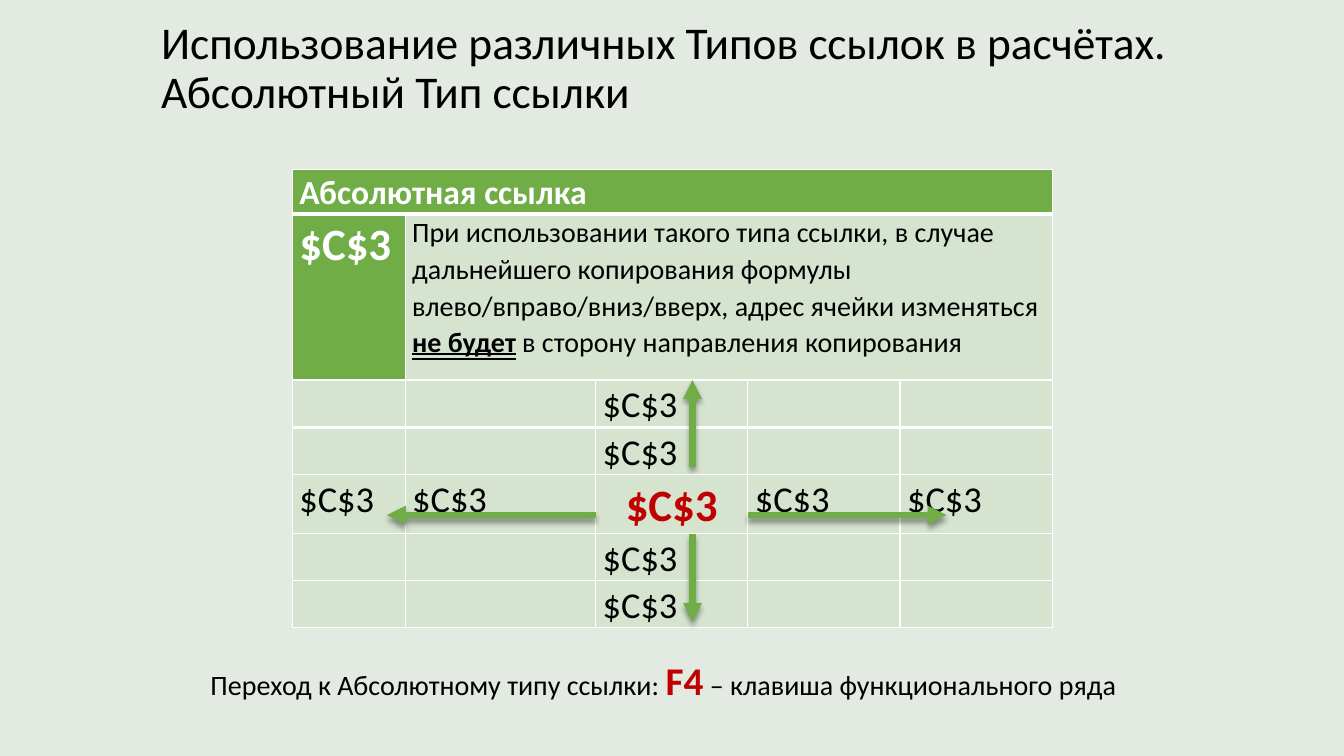
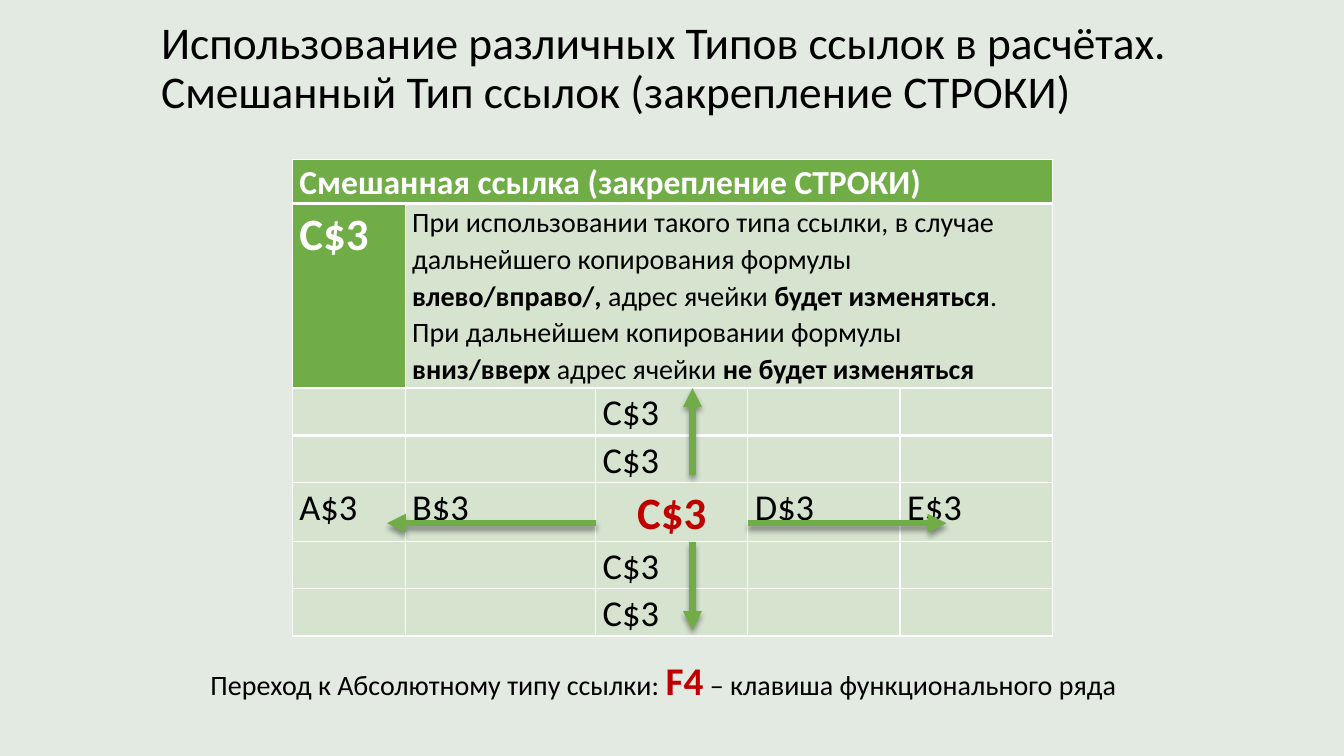
from dataclasses import dataclass

from lxml import etree
from pptx import Presentation
from pptx.dml.color import RGBColor
from pptx.enum.shapes import MSO_CONNECTOR
from pptx.enum.text import MSO_ANCHOR, MSO_UNDERLINE, PP_ALIGN
from pptx.oxml import parse_xml
from pptx.oxml.ns import nsdecls, qn
from pptx.slide import Slide
from pptx.table import Table, _Cell
from pptx.text.text import TextFrame
from pptx.util import Inches, Pt

STRAIGHT = MSO_CONNECTOR.STRAIGHT
MIDDLE = MSO_ANCHOR.MIDDLE
CENTER = PP_ALIGN.CENTER
DOUBLE = MSO_UNDERLINE.DOUBLE_LINE

COLORS = {
    "background": "E3EAE2",
    "green": "70AD47",
    "pale": "D5E3CF",
    "white": "FFFFFF",
    "black": "000000",
    "red": "C00000",
}
FONT = "Calibri"
GRID = Inches(0.1)
SLIDE_COLUMNS, SLIDE_ROWS = 133.33, 75
TABLE_LEFT = 29
TABLE_COLUMNS = [11.2, 18.9, 15.1, 15.1, 15.1]
CROSS_ROWS = [4.7, 4.7, 5.8, 4.7, 4.7]
HEADING_ROW = 4.4
MIDDLE_INDEX = 2
TABLE_SPACING = 1.07
TITLE_START = "Использование различных Типов ссылок в расчётах. "


@dataclass(frozen=True)
class Words:
    """A stretch of text in one format."""

    text: str
    size: float = 20
    color: str = "black"
    bold: bool = False
    double_underline: bool = False


@dataclass(frozen=True)
class Area:
    """A place on the slide in grid columns and rows."""

    left: float
    top: float
    width: float
    height: float


@dataclass(frozen=True)
class Arrow:
    """An arrow in grid units from the corner of the cross table."""

    start: tuple[float, float]
    end: tuple[float, float]


@dataclass(frozen=True)
class Topic:
    """The content of one slide about a type of reference."""

    title: str
    heading: str
    reference: str
    explanation: list[list[Words]]
    vertical: str
    horizontal: list[str]
    rule_top: float
    cross_top: float


CELL_C_LEFT = sum(TABLE_COLUMNS[:MIDDLE_INDEX])
CELL_C_RIGHT = CELL_C_LEFT + TABLE_COLUMNS[MIDDLE_INDEX]
ACROSS, DOWN = 13.4, 39.7
ARROWS = [
    Arrow((CELL_C_RIGHT, ACROSS), (64.9, ACROSS)),
    Arrow((CELL_C_LEFT, ACROSS), (9.4, ACROSS)),
    Arrow((DOWN, 8.6), (DOWN, 0)),
    Arrow((DOWN, 15.3), (DOWN, 24)),
]
TITLE_AREA = Area(15, 2.8, 109.2, 8.2)
KEY_AREA = Area(19.9, 64.6, 93.6, 5.7)
KEY_HINT = [
    Words("Переход к Абсолютному типу ссылки: "),
    Words("F4", 28, "red", True),
    Words(" – клавиша функционального ряда"),
]
TOPICS = [
    Topic(
        "Абсолютный Тип ссылки",
        "Абсолютная ссылка",
        "$C$3",
        [[
            Words("При использовании такого типа ссылки, в случае дальнейшего "
                  "копирования формулы влево/вправо/вниз/вверх, адрес ячейки изменяться "),
            Words("не будет", bold=True, double_underline=True),
            Words(" в сторону направления копирования"),
        ]],
        "$С$3",
        ["$C$3", "$С$3", "$С$3", "$C$3", "$C$3"],
        16.8,
        37.7,
    ),
    Topic(
        "Смешанный Тип ссылок (закрепление СТРОКИ)",
        "Смешанная ссылка (закрепление СТРОКИ)",
        "C$3",
        [
            [
                Words("При использовании такого типа ссылки, в случае дальнейшего "
                      "копирования формулы "),
                Words("влево/вправо/,", bold=True),
                Words(" адрес ячейки "),
                Words("будет изменяться", bold=True),
                Words("."),
            ],
            [
                Words("При дальнейшем копировании формулы "),
                Words("вниз/вверх", bold=True),
                Words(" адрес ячейки "),
                Words("не будет изменяться", bold=True),
            ],
        ],
        "С$3",
        ["А$3", "В$3", "С$3", "D$3", "E$3"],
        15.8,
        38.5,
    ),
]


def grid(units: float) -> int:
    """Convert grid units to a length."""
    return round(units * GRID)


def rgb(name: str) -> RGBColor:
    """Look up a colour."""
    return RGBColor.from_string(COLORS[name])


def write(frame: TextFrame, paragraphs: list[list[Words]], spacing: float) -> None:
    """Write formatted paragraphs into a text frame."""
    for index, stretches in enumerate(paragraphs):
        paragraph = frame.add_paragraph() if index else frame.paragraphs[0]
        paragraph.line_spacing = spacing
        for words in stretches:
            run = paragraph.add_run()
            run.text = words.text
            run.font.name = FONT
            run.font.size = Pt(words.size)
            run.font.bold = words.bold
            run.font.color.rgb = rgb(words.color)
            if words.double_underline:
                run.font.underline = DOUBLE


def add_text(slide: Slide, area: Area, stretches: list[Words], spacing: float = 1) -> TextFrame:
    """Add a wrapping one-paragraph text box."""
    box = slide.shapes.add_textbox(
        grid(area.left), grid(area.top), grid(area.width), grid(area.height))
    frame = box.text_frame
    frame.word_wrap = True
    write(frame, [stretches], spacing)
    return frame


def set_borders(cell: _Cell, row: int) -> None:
    """Draw white cell borders with a thick line under the first row."""
    widths = {"L": 1, "R": 1, "T": 3 if row == 1 else 1, "B": 3 if row == 0 else 1}
    properties = cell._tc.get_or_add_tcPr()
    for position, (side, width) in enumerate(widths.items()):
        properties.insert(position, parse_xml(
            f'<a:ln{side} {nsdecls("a")} w="{Pt(width)}"><a:solidFill>'
            f'<a:srgbClr val="{COLORS["white"]}"/></a:solidFill></a:ln{side}>'))


def add_grid_table(slide: Slide, top: float, columns: list[float], rows: list[float]) -> Table:
    """Add a pale table with white borders and narrow margins."""
    table = slide.shapes.add_table(
        len(rows), len(columns), grid(TABLE_LEFT), grid(top),
        grid(sum(columns)), grid(sum(rows))).table
    table.first_row = False
    table.horz_banding = False
    for column, width in zip(table.columns, columns):
        column.width = grid(width)
    for index, (row, height) in enumerate(zip(table.rows, rows)):
        row.height = grid(height)
        for cell in row.cells:
            cell.margin_left = cell.margin_right = Inches(0.07)
            cell.margin_top = cell.margin_bottom = 0
            cell.fill.solid()
            cell.fill.fore_color.rgb = rgb("pale")
            set_borders(cell, index)
    return table


def add_rule(slide: Slide, topic: Topic) -> None:
    """Add the table that explains the reference type."""
    columns = [TABLE_COLUMNS[0], sum(TABLE_COLUMNS[1:])]
    rows = [HEADING_ROW, topic.cross_top - topic.rule_top - HEADING_ROW]
    table = add_grid_table(slide, topic.rule_top, columns, rows)
    heading, reference = table.cell(0, 0), table.cell(1, 0)
    heading.merge(table.cell(0, 1))
    for cell, text, size in ((heading, topic.heading, 24), (reference, topic.reference, 32)):
        cell.fill.fore_color.rgb = rgb("green")
        write(cell.text_frame, [[Words(text, size, "white", True)]], TABLE_SPACING)
    write(table.cell(1, 1).text_frame, topic.explanation, TABLE_SPACING)


def add_cross(slide: Slide, topic: Topic) -> None:
    """Add the table that shows copying in four directions."""
    table = add_grid_table(slide, topic.cross_top, TABLE_COLUMNS, CROSS_ROWS)
    references = {(row, MIDDLE_INDEX): topic.vertical for row in range(len(CROSS_ROWS))}
    references |= {(MIDDLE_INDEX, column): text for column, text in enumerate(topic.horizontal)}
    for (row, column), text in references.items():
        source = row == column == MIDDLE_INDEX
        words = Words(text, 32, "red", True) if source else Words(text, 26)
        frame = table.cell(row, column).text_frame
        write(frame, [[words]], TABLE_SPACING)
        if source:
            frame.paragraphs[0].alignment = CENTER


def add_arrow(slide: Slide, arrow: Arrow, top: float) -> None:
    """Add a green arrow with a soft shadow."""
    ends = [grid(offset + corner) for point in (arrow.start, arrow.end)
            for offset, corner in zip(point, (TABLE_LEFT, top))]
    connector = slide.shapes.add_connector(STRAIGHT, *ends)
    connector.line.color.rgb = rgb("green")
    connector.line.width = Pt(4.5)
    properties = connector._element.spPr
    etree.SubElement(properties.find(qn("a:ln")), qn("a:tailEnd"), type="triangle")
    properties.append(parse_xml(
        f'<a:effectLst {nsdecls("a")}><a:outerShdw blurRad="{Pt(4)}" dist="{Pt(3)}" '
        f'dir="5400000" rotWithShape="0"><a:srgbClr val="{COLORS["black"]}">'
        '<a:alpha val="40000"/></a:srgbClr></a:outerShdw></a:effectLst>'))


def add_topic(presentation: Presentation, topic: Topic) -> None:
    """Add the slide for one type of reference."""
    slide = presentation.slides.add_slide(presentation.slide_layouts[6])
    slide.background.fill.solid()
    slide.background.fill.fore_color.rgb = rgb("background")
    title = add_text(slide, TITLE_AREA, [Words(TITLE_START + topic.title, 32.4)], 0.9)
    title.vertical_anchor = MIDDLE
    add_rule(slide, topic)
    add_cross(slide, topic)
    for arrow in ARROWS:
        add_arrow(slide, arrow, topic.cross_top)
    add_text(slide, KEY_AREA, KEY_HINT)


def main() -> None:
    """Build and save the presentation."""
    presentation = Presentation()
    presentation.slide_width = grid(SLIDE_COLUMNS)
    presentation.slide_height = grid(SLIDE_ROWS)
    for topic in TOPICS:
        add_topic(presentation, topic)
    presentation.save("out.pptx")


if __name__ == "__main__":
    main()
